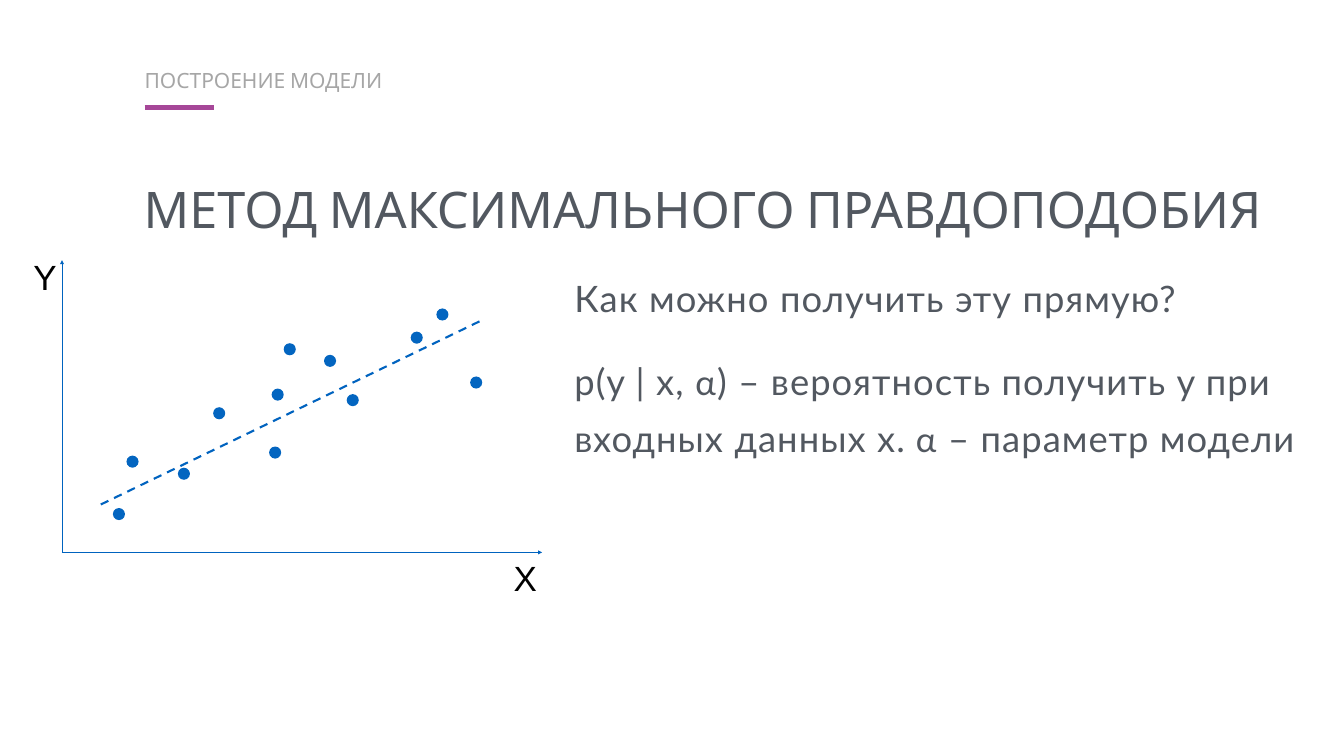
"""Build a slide on maximum likelihood with a scatter sketch and a fitted line."""
from pptx import Presentation
from pptx.dml.color import RGBColor
from pptx.enum.dml import MSO_LINE
from pptx.enum.shapes import MSO_CONNECTOR, MSO_SHAPE
from pptx.enum.text import MSO_ANCHOR, MSO_AUTO_SIZE, PP_ALIGN
from pptx.oxml.ns import qn
from pptx.util import Pt
from lxml import etree

STRAIGHT = MSO_CONNECTOR.STRAIGHT
OVAL = MSO_SHAPE.OVAL
DASH = MSO_LINE.DASH
TOP = MSO_ANCHOR.TOP
GROW = MSO_AUTO_SIZE.SHAPE_TO_FIT_TEXT
LEFT, CENTER = PP_ALIGN.LEFT, PP_ALIGN.CENTER
PX = 9144
SLATE, GREY, BLACK = "525860", "A6A6A6", "000000"
PURPLE, BLUE, DOT_BLUE = "A64798", "0063BF", "0365C0"
DOT_SIZE = 24


def color(value):
    return RGBColor.from_string(value)


deck = Presentation()
deck.slide_width, deck.slide_height = 2667 * PX, 1500 * PX
page = deck.slides.add_slide(deck.slide_layouts[6])

wide_frame = {"word_wrap": True, "margin_left": 6 * PX, "margin_right": 6 * PX,
              "margin_top": 6 * PX, "margin_bottom": 6 * PX}
label_frame = {"word_wrap": False}
heading_para = {"line_spacing": 1.3, "alignment": LEFT}
body_para = {"line_spacing": 1.3, "alignment": LEFT, "space_before": Pt(38)}
label_para = {"alignment": CENTER}

question = [("Как можно получить эту прямую?", "Lato")]
likelihood = [
    ("p(y | x, ", "Lato"),
    ("α", "Calibri"),
    (") – вероятность получить y при входных данных x.", "Lato"),
    (" α", "Calibri"),
    (" – параметр модели", "Lato"),
]
texts = [
    ((279, 311, 2304, 152), wide_frame, heading_para, 72, SLATE, 0,
     [[("МЕТОД МАКСИМАЛЬНОГО ПРАВДОПОДОБИЯ", "Cabin")]]),
    ((1134, 516, 1496, 406), wide_frame, body_para, 52, SLATE, 160,
     [question, likelihood]),
    ((281, 113, 2118, 71), wide_frame, heading_para, 30, GREY, 0,
     [[("ПОСТРОЕНИЕ МОДЕЛИ", "Cabin")]]),
    ((1009, 1099, 67, 94), label_frame, label_para, 50, BLACK, 0, [[("X", "Arial")]]),
    ((56, 502, 67, 94), label_frame, label_para, 50, BLACK, 0, [[("Y", "Arial")]]),
]
for place, frame_format, para_format, size, ink, spacing, paragraphs in texts:
    box = page.shapes.add_textbox(*(PX * length for length in place))
    frame = box.text_frame
    for name, value in {"auto_size": GROW, "vertical_anchor": TOP, **frame_format}.items():
        setattr(frame, name, value)
    for index, pieces in enumerate(paragraphs):
        para = frame.add_paragraph() if index else frame.paragraphs[0]
        for name, value in para_format.items():
            setattr(para, name, value)
        for words, font_name in pieces:
            span = para.add_run()
            span.text = words
            for name, value in {"name": font_name, "size": Pt(size)}.items():
                setattr(span.font, name, value)
            span.font.color.rgb = color(ink)
            if spacing:
                span.font._element.set("spc", str(spacing))

lines = [
    ((287, 213, 425, 213), PURPLE, 7, None, False),
    ((123, 1096, 1076, 1096), BLUE, 0.75, None, True),
    ((123, 1096, 123, 516), BLUE, 0.75, None, True),
    ((200, 1001, 957, 635), BLUE, 3, DASH, False),
]
for ends, ink, width, dash, has_arrow in lines:
    connector = page.shapes.add_connector(STRAIGHT, *(PX * length for length in ends))
    connector.line.color.rgb = color(ink)
    connector.line.width = Pt(width)
    if dash:
        connector.line.dash_style = dash
    if has_arrow:
        arrow = etree.SubElement(connector.line._get_or_add_ln(), qn("a:tailEnd"))
        arrow.set("type", "triangle")
    etree.SubElement(connector._element.spPr, qn("a:effectLst"))

dots = [(224, 1008), (251, 904), (353, 928), (423, 808), (539, 771), (534, 886),
        (563, 681), (933, 747), (688, 782), (643, 704), (866, 612), (815, 658)]
for left, top in dots:
    dot = page.shapes.add_shape(OVAL, left * PX, top * PX, DOT_SIZE * PX, DOT_SIZE * PX)
    dot.shadow.inherit = False
    dot.fill.solid()
    dot.fill.fore_color.rgb = color(DOT_BLUE)
    dot.line.fill.background()

deck.save("out.pptx")
